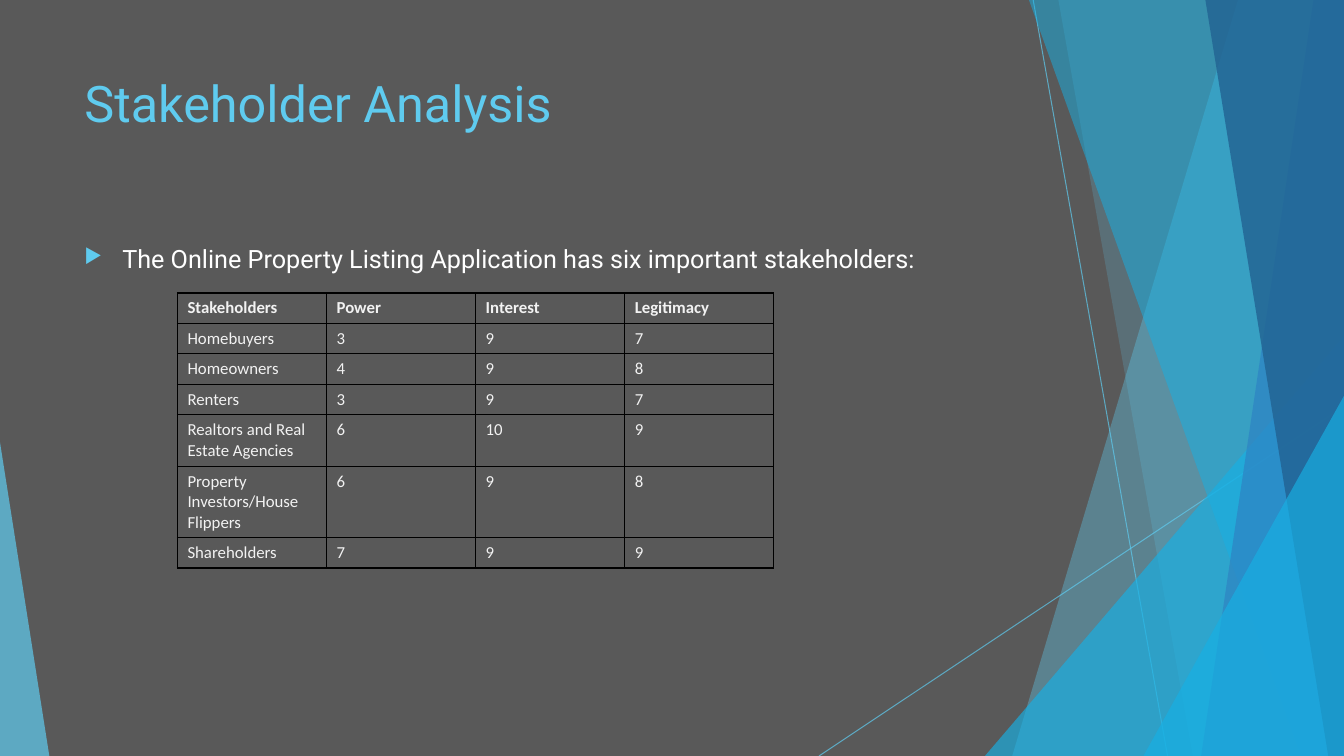
from dataclasses import dataclass

from lxml.etree import SubElement
from pptx import Presentation
from pptx.dml.color import RGBColor
from pptx.enum.shapes import MSO_CONNECTOR, MSO_SHAPE
from pptx.enum.text import MSO_ANCHOR
from pptx.oxml.ns import qn
from pptx.util import Pt

PX = 9525  # EMU per px, 96 px to the inch
WIDTH, HEIGHT = 1280, 720
COLORS = {
    "background": "595959", "sky": "5FCBEF", "cyan": "17B0E4", "blue": "2E83C3",
    "navy": "226292", "white": "FFFFFF", "cell": "F2F2F2", "border": "000000",
}


@dataclass
class Ray:
    start: tuple[int, int]
    end: tuple[int, int]


@dataclass
class Band:
    """Area between a slanted left edge and the right side of the slide."""
    top_x: int
    bottom_x: int
    color: str
    opacity: int


@dataclass
class Wedge:
    """Right triangle standing on the bottom of the slide."""
    left: int
    top: int
    width: int
    apex: int
    color: str
    opacity: int


RAYS = [Ray((984, 0), (1112, HEIGHT)), Ray((WIDTH, 387), (780, HEIGHT))]
FACETS = [
    Band(1179, 964, "sky", 36),
    Band(1008, 1136, "sky", 20),
    Wedge(938, 320, 342, 1, "cyan", 66),
    Band(980, 1239, "cyan", 50),
    Band(1251, 1144, "blue", 70),
    Band(1148, 1265, "navy", 80),
    Wedge(1089, 377, 191, 1, "cyan", 66),
    Wedge(0, 421, 47, 0, "sky", 70),
]
STAKEHOLDERS = [
    ("Stakeholders", "Power", "Interest", "Legitimacy"),
    ("Homebuyers", "3", "9", "7"),
    ("Homeowners", "4", "9", "8"),
    ("Renters", "3", "9", "7"),
    ("Realtors and Real Estate Agencies", "6", "10", "9"),
    ("Property Investors/House Flippers", "6", "9", "8"),
    ("Shareholders", "7", "9", "9"),
]
COLUMN_WIDTH = 142
ROW_HEIGHTS = [29, 29, 29, 29, 49, 68, 29]


def px(*values: int) -> list[int]:
    return [value * PX for value in values]


def rgb(name: str) -> RGBColor:
    return RGBColor.from_string(COLORS[name])


def set_opacity(shape, percent: int) -> None:
    for color in shape._element.spPr.iter(qn("a:srgbClr")):
        SubElement(color, qn("a:alpha"), val=str(percent * 1000))


def set_font(paragraph, color: str, **formats) -> None:
    for name, value in formats.items():
        setattr(paragraph.font, name, value)
    paragraph.font.color.rgb = rgb(color)


def draw_ray(slide, ray: Ray) -> None:
    connector = slide.shapes.add_connector(
        MSO_CONNECTOR.STRAIGHT, *px(*ray.start, *ray.end))
    connector.line.color.rgb = rgb("sky")
    connector.line.width = Pt(0.75)
    set_opacity(connector, 70)
    SubElement(connector._element.spPr, qn("a:effectLst"))


def draw_facet(slide, facet: Band | Wedge) -> None:
    if isinstance(facet, Band):
        builder = slide.shapes.build_freeform(facet.top_x, 0, scale=PX)
        builder.add_line_segments(
            [(WIDTH, 0), (WIDTH, HEIGHT), (facet.bottom_x, HEIGHT)], close=True)
        shape = builder.convert_to_shape()
    else:
        shape = slide.shapes.add_shape(
            MSO_SHAPE.ISOSCELES_TRIANGLE,
            *px(facet.left, facet.top, facet.width, HEIGHT - facet.top))
        shape.adjustments[0] = facet.apex
    shape.shadow.inherit = False
    shape.fill.solid()
    shape.fill.fore_color.rgb = rgb(facet.color)
    shape.line.fill.background()
    set_opacity(shape, facet.opacity)


def add_text(slide, text: str, top: int, height: int, size: int, color: str,
             bullet: bool = False) -> None:
    frame = slide.shapes.add_textbox(*px(71, top, 902, height)).text_frame
    frame.word_wrap = True
    frame.vertical_anchor = MSO_ANCHOR.TOP
    paragraph = frame.paragraphs[0]
    paragraph.text = text
    if bullet:
        properties = paragraph._p.get_or_add_pPr()
        properties.set("marL", str(36 * PX))
        properties.set("indent", str(-36 * PX))
        bullet_color = SubElement(properties, qn("a:buClr"))
        SubElement(bullet_color, qn("a:srgbClr"), val=COLORS["sky"])
        SubElement(properties, qn("a:buSzPct"), val="80000")
        SubElement(properties, qn("a:buChar"), char="▶")
    set_font(paragraph, color, name="Roboto", size=Pt(size))


def add_borders(cell) -> None:
    properties = cell._tc.get_or_add_tcPr()
    for side in ("lnL", "lnR", "lnT", "lnB"):
        line = SubElement(properties, qn(f"a:{side}"), w=str(Pt(1)))
        fill = SubElement(line, qn("a:solidFill"))
        SubElement(fill, qn("a:srgbClr"), val=COLORS["border"])


def add_stakeholder_table(slide) -> None:
    columns = len(STAKEHOLDERS[0])
    table = slide.shapes.add_table(
        len(STAKEHOLDERS), columns,
        *px(169, 279, columns * COLUMN_WIDTH, sum(ROW_HEIGHTS))).table
    for column in table.columns:
        column.width = COLUMN_WIDTH * PX
    for row_index, values in enumerate(STAKEHOLDERS):
        table.rows[row_index].height = ROW_HEIGHTS[row_index] * PX
        for column_index, value in enumerate(values):
            cell = table.cell(row_index, column_index)
            cell.text = value
            add_borders(cell)
            cell.fill.background()
            set_font(cell.text_frame.paragraphs[0], "cell", name="Calibri",
                     size=Pt(12), bold=row_index == 0)


def main() -> None:
    presentation = Presentation()
    presentation.slide_width, presentation.slide_height = px(WIDTH, HEIGHT)
    slide = presentation.slides.add_slide(presentation.slide_layouts[6])
    slide.background.fill.solid()
    slide.background.fill.fore_color.rgb = rgb("background")

    # Decorative rays and facets
    for ray in RAYS:
        draw_ray(slide, ray)
    for facet in FACETS:
        draw_facet(slide, facet)

    # Title, statement and table
    add_text(slide, "Stakeholder Analysis", 64, 138, 36, "sky")
    add_text(slide, "The Online Property Listing Application has six important "
             "stakeholders:", 227, 407, 18, "white", bullet=True)
    add_stakeholder_table(slide)
    presentation.save("out.pptx")


if __name__ == "__main__":
    main()
